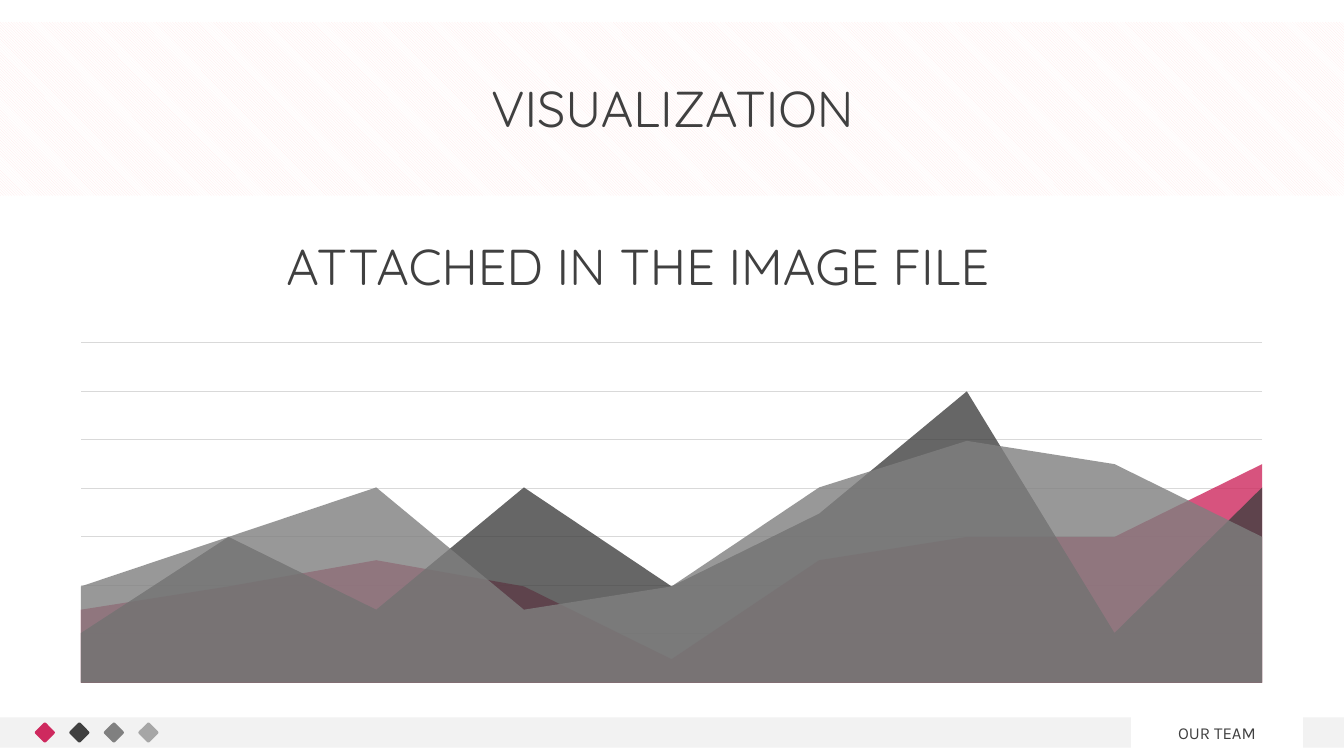
from lxml import etree
from pptx import Presentation
from pptx.chart.data import CategoryChartData as ChartData
from pptx.dml.color import RGBColor as RGB
from pptx.enum.chart import XL_CHART_TYPE as Chart
from pptx.enum.dml import MSO_PATTERN as Pattern
from pptx.enum.shapes import MSO_SHAPE as Shape
from pptx.enum.text import MSO_ANCHOR as Anchor, MSO_AUTO_SIZE as Fit, PP_ALIGN as Align
from pptx.oxml import parse_xml
from pptx.oxml.ns import nsdecls, qn
from pptx.util import Cm, Pt

COLORS = {
    "pink": "CE295E", "dark": "404040", "mid": "808080", "light": "A6A6A6",
    "gray": "7F7F7F", "bar": "F2F2F2", "grid": "D9D9D9", "black": "000000",
    "stripe": "FFE6E6", "white": "FFFFFF",
}
HUES = {name: RGB.from_string(code) for name, code in COLORS.items()}

prs = Presentation()
prs.slide_width, prs.slide_height = Cm(33.87), Cm(19.05)
slide = prs.slides.add_slide(prs.slide_layouts[6])


def add_shape(kind, box, hue):
    shape = slide.shapes.add_shape(kind, *map(Cm, box))
    shape.shadow.inherit = False
    shape.line.fill.background()
    shape.fill.solid()
    shape.fill.fore_color.rgb = HUES[hue]
    return shape


def add_text(text, box, size, face, look):
    frame = slide.shapes.add_textbox(*map(Cm, box)).text_frame
    for name, value in look.items():
        setattr(frame, name, value)
    para = frame.paragraphs[0]
    para.text = text
    para.alignment = Align.CENTER
    para.font.size, para.font.name = Pt(size), face
    para.font.color.rgb = HUES["dark"]
    return para


# Footer bar, diamonds and team name
for left, width in ((0, 28.5), (32.84, 1.03)):
    add_shape(Shape.RECTANGLE, (left, 18.08, width, 0.76), "bar")
for i, hue in enumerate(("pink", "dark", "mid", "light")):
    gem = add_shape(Shape.ROUNDED_RECTANGLE, (0.94 + 0.87 * i, 18.27, 0.38, 0.38), hue)
    gem.rotation = 45
    gem.adjustments[0] = 0.11
add_text("OUR TEAM", (28.5, 18.08, 4.34, 0.76), 12, "Karla", {
    "word_wrap": True, "auto_size": Fit.SHAPE_TO_FIT_TEXT,
    "vertical_anchor": Anchor.MIDDLE})

# Area chart
data = ChartData()
data.categories = [str(n) for n in range(1, 10)]
data.add_series("Series 1", (33, 50, 67, 25, 33, 67, 83, 75, 50))
data.add_series("Series 2", (17, 50, 25, 67, 33, 58, 100, 17, 67))
data.add_series("Series 3", (25, 33, 42, 33, 8, 42, 50, 50, 75))
chart = slide.shapes.add_chart(
    Chart.AREA, Cm(1.42), Cm(8.46), Cm(31.01), Cm(8.92), data).chart
chart.has_title = chart.has_legend = False
chart.font.size, chart.font.name = Pt(10), "Karla"
chart.font.color.rgb = HUES["black"]
chart.plots[0].vary_by_categories = False
for series, hue in zip(chart.plots[0].series, ("gray", "dark", "pink")):
    fill = series.format.fill
    fill.solid()
    fill.fore_color.rgb = HUES[hue]
    color = next(series._element.iter(qn("a:srgbClr")))
    etree.SubElement(color, qn("a:alpha"), val="80000")
    series.format.line.fill.background()

# Hidden axes with seven grid steps
step = 16.67
axis = chart.value_axis
for name, value in {"minimum_scale": 0, "maximum_scale": 7 * step,
                    "major_unit": step, "has_major_gridlines": True,
                    "visible": False}.items():
    setattr(axis, name, value)
grid = axis.major_gridlines.format.line
grid.color.rgb, grid.width = HUES["grid"], Pt(0.75)
chart.category_axis.visible = False
chart.category_axis.has_major_gridlines = False
axis._element.find(qn("c:crossBetween")).set("val", "midCat")

# Plot area inside the chart frame
plot = chart._chartSpace.chart.plotArea
for old in plot.findall(qn("c:layout")):
    plot.remove(old)
marks = {"layoutTarget": "inner", "xMode": "edge", "yMode": "edge",
         "x": 0.02, "y": 0.02, "w": 0.96, "h": 0.96}
parts = "".join(f'<c:{tag} val="{val}"/>' for tag, val in marks.items())
plot.insert(0, parse_xml(
    f'<c:layout {nsdecls("c")}><c:manualLayout>{parts}</c:manualLayout></c:layout>'))

# Striped title band
band = add_shape(Shape.RECTANGLE, (0, 0.56, 33.87, 4.37), "white")
band.fill.patterned()
band.fill.pattern = Pattern.LIGHT_DOWNWARD_DIAGONAL
band.fill.fore_color.rgb = HUES["stripe"]
band.fill.back_color.rgb = HUES["white"]

# Title and subtitle
look = {"word_wrap": True, "auto_size": Fit.SHAPE_TO_FIT_TEXT,
        "margin_left": 0, "margin_right": 0, "margin_top": 0, "margin_bottom": 0}
for text, left, top in (("VISUALIZATION", 2.34, 2.11),
                        ("ATTACHED IN THE IMAGE FILE", 1.47, 6.1)):
    head = add_text(text, (left, top, 29.21, 1.4), 36, "Quicksand", look)
    head.line_spacing = 0.9

prs.save("out.pptx")
